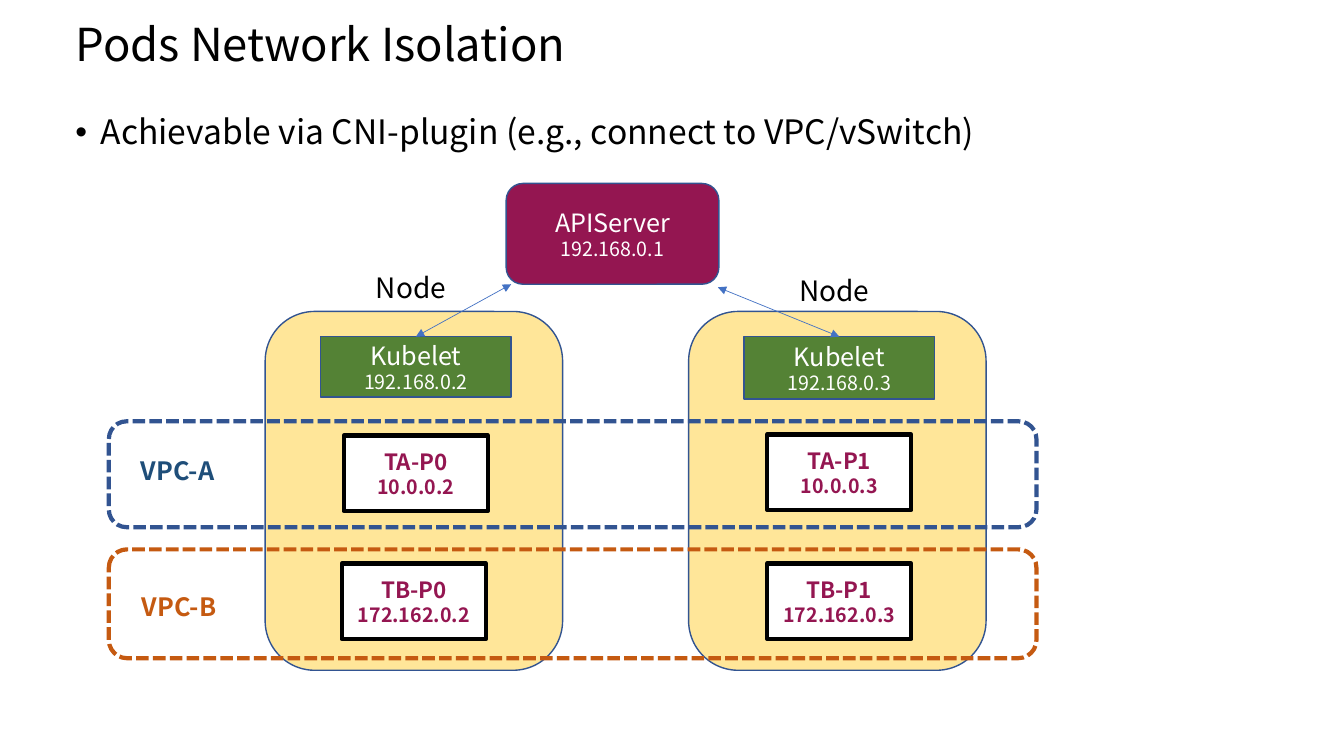
from lxml.etree import SubElement
from pptx import Presentation
from pptx.dml.color import RGBColor
from pptx.enum.dml import MSO_LINE
from pptx.enum.shapes import MSO_CONNECTOR, MSO_SHAPE
from pptx.enum.text import MSO_ANCHOR, MSO_AUTO_SIZE, PP_ALIGN
from pptx.oxml.ns import qn
from pptx.util import Inches, Pt

FONT = "Noto Sans CJK SC"
BLACK = RGBColor(0x00, 0x00, 0x00)
WHITE = RGBColor(0xFF, 0xFF, 0xFF)
NAVY = RGBColor(0x32, 0x54, 0x91)
BLUE = RGBColor(0x44, 0x72, 0xC4)
DARK_BLUE = RGBColor(0x1F, 0x4E, 0x79)
ORANGE = RGBColor(0xC5, 0x5A, 0x11)
GREEN = RGBColor(0x54, 0x82, 0x35)
YELLOW = RGBColor(0xFF, 0xE6, 0x99)
PLUM = RGBColor(0x94, 0x16, 0x51)

# Content
TITLE = "Pods Network Isolation"
BULLET = "Achievable via CNI-plugin (e.g., connect to VPC/vSwitch)"
API_SERVER = ("APIServer", "192.168.0.1")
NODES = [
    {"kubelet": ("Kubelet", "192.168.0.2"), "kubelet_height": 0.6,
     "label_top": 2.63, "arrow_end": (5.07, 2.82),
     "pods": [(("TA-P0", "10.0.0.2"), 0.78, 4.32),
              (("TB-P0", "172.162.0.2"), 0.76, 5.59)]},
    {"kubelet": ("Kubelet", "192.168.0.3"), "kubelet_height": 0.62,
     "label_top": 2.66, "arrow_end": (7.12, 2.85),
     "pods": [(("TA-P1", "10.0.0.3"), 0.78, 4.31),
              (("TB-P1", "172.162.0.3"), 0.78, 5.59)]},
]
# Name, outline, text colour, top, height, label left, label top
VPCS = [
    ("VPC-A", NAVY, DARK_BLUE, 4.18, 1.05, 1.3, 4.47),
    ("VPC-B", ORANGE, ORANGE, 5.45, 1.08, 1.31, 5.82),
]

# Layout in inches
MARGIN, TEXT_WIDTH = 0.65, 11.5
NODE_LEFT, NODE_TOP, NODE_PITCH = 2.63, 3.09, 4.2
KUBELET_INSET, KUBELET_WIDTH = 0.55, 1.89
POD_SIZE = (1.43, 0.75)

deck = Presentation()
deck.slide_width, deck.slide_height = Inches(13.33), Inches(7.5)
page = deck.slides.add_slide(deck.slide_layouts[5])


def write(shape, lines, sizes, color, bold=False, align=PP_ALIGN.LEFT,
          anchor=MSO_ANCHOR.TOP, wrap=True, spacing=None):
    frame = shape.text_frame
    frame.word_wrap = wrap
    frame.auto_size = MSO_AUTO_SIZE.NONE
    frame.vertical_anchor = anchor
    for index, (line, size) in enumerate(zip(lines, sizes)):
        para = frame.add_paragraph() if index else frame.paragraphs[0]
        para.alignment = align
        if spacing:
            para.line_spacing = spacing
        span = para.add_run()
        span.text = line
        span.font.name, span.font.size = FONT, Pt(size)
        span.font.bold = bold
        span.font.color.rgb = color
    return frame


def add_text(left, top, width, height, *args, **kwargs):
    box = page.shapes.add_textbox(*map(Inches, (left, top, width, height)))
    return write(box, *args, **kwargs)


def add_box(kind, left, top, width, height, fill=None, line=NAVY, weight=1):
    box = page.shapes.add_shape(kind, *map(Inches, (left, top, width, height)))
    box.shadow.inherit = False
    if fill is None:
        box.fill.background()
    else:
        box.fill.solid()
        box.fill.fore_color.rgb = fill
    box.line.color.rgb = line
    box.line.width = Pt(weight)
    return box


def write_centred(box, lines, sizes, color, bold=False):
    write(box, lines, sizes, color, bold=bold, align=PP_ALIGN.CENTER,
          anchor=MSO_ANCHOR.MIDDLE)


def add_double_arrow(source, end):
    start = source.left + source.width // 2, source.top
    arrow = page.shapes.add_connector(MSO_CONNECTOR.STRAIGHT, *start, *map(Inches, end))
    arrow.begin_connect(source, 0)
    arrow.line.color.rgb = BLUE
    arrow.line.width = Pt(0.5)
    outline = arrow.line._get_or_add_ln()
    for tag in ("a:headEnd", "a:tailEnd"):
        SubElement(outline, qn(tag), type="triangle")
    SubElement(arrow._element.spPr, qn("a:effectLst"))


# Title and bullet
title = page.shapes.title
title.left, title.top = Inches(MARGIN), Inches(0.18)
title.width, title.height = Inches(TEXT_WIDTH), Inches(0.57)
write(title, [TITLE], [32.4], BLACK, anchor=MSO_ANCHOR.MIDDLE, spacing=0.9)

body = add_text(MARGIN, 1.1, TEXT_WIDTH, 0.6, [BULLET], [24], BLACK, spacing=0.9)
bullet = body.paragraphs[0]
bullet.space_before = Pt(10)
settings = bullet._p.get_or_add_pPr()
settings.set("marL", str(Inches(0.25)))
settings.set("indent", str(-Inches(0.25)))
SubElement(settings, qn("a:buFont"), typeface="Arial")
SubElement(settings, qn("a:buChar"), char="•")

# Nodes with their kubelet and pods
kubelets = []
for column, node in enumerate(NODES):
    left = NODE_LEFT + column * NODE_PITCH
    add_box(MSO_SHAPE.ROUNDED_RECTANGLE, left, NODE_TOP, 2.95, 3.56, fill=YELLOW)
    kubelet = add_box(MSO_SHAPE.RECTANGLE, left + KUBELET_INSET, NODE_TOP + 0.25,
                      KUBELET_WIDTH, node["kubelet_height"], fill=GREEN)
    write_centred(kubelet, node["kubelet"], (18, 14), WHITE)
    kubelets.append(kubelet)
    add_text(left + 1, node["label_top"], 0.94, 0.44, ["Node"], [20], BLACK)
    for lines, inset, top in node["pods"]:
        pod = add_box(MSO_SHAPE.RECTANGLE, left + inset, top, *POD_SIZE,
                      fill=WHITE, line=BLACK, weight=3)
        write_centred(pod, lines, (16, 14), PLUM, bold=True)

# API server and its links
server = add_box(MSO_SHAPE.ROUNDED_RECTANGLE, 5.02, 1.82, 2.11, 1, fill=PLUM)
write_centred(server, API_SERVER, (18, 14), WHITE)
for kubelet, node in zip(kubelets, NODES):
    add_double_arrow(kubelet, node["arrow_end"])

# VPC outlines across both nodes
for name, outline, color, top, height, label_left, label_top in VPCS:
    vpc = add_box(MSO_SHAPE.ROUNDED_RECTANGLE, 1.08, top, 9.2, height,
                  line=outline, weight=3)
    vpc.line.dash_style = MSO_LINE.SQUARE_DOT
    add_text(label_left, label_top, 0.95, 0.4, [name], [18], color,
             bold=True, wrap=False)

deck.save("out.pptx")
